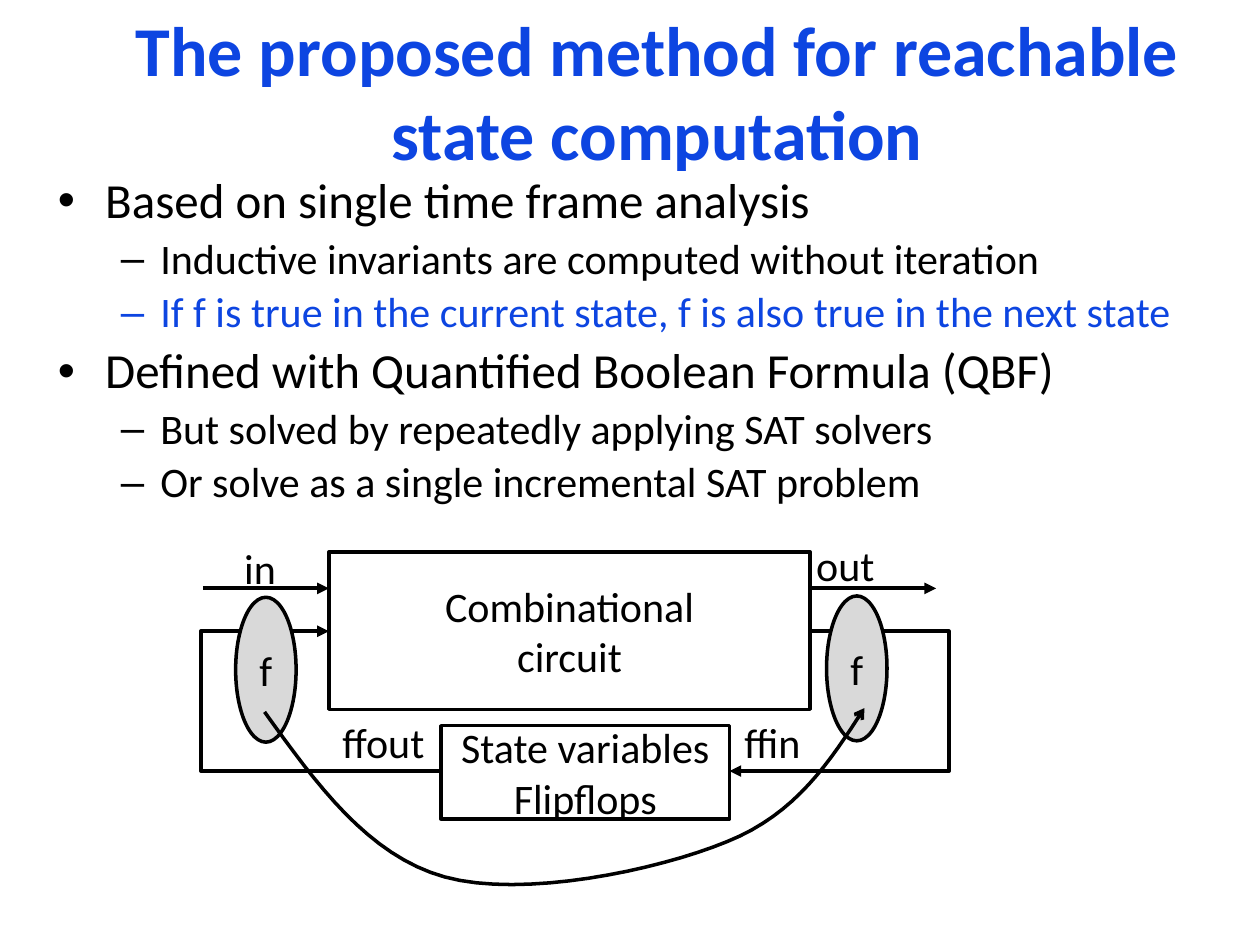
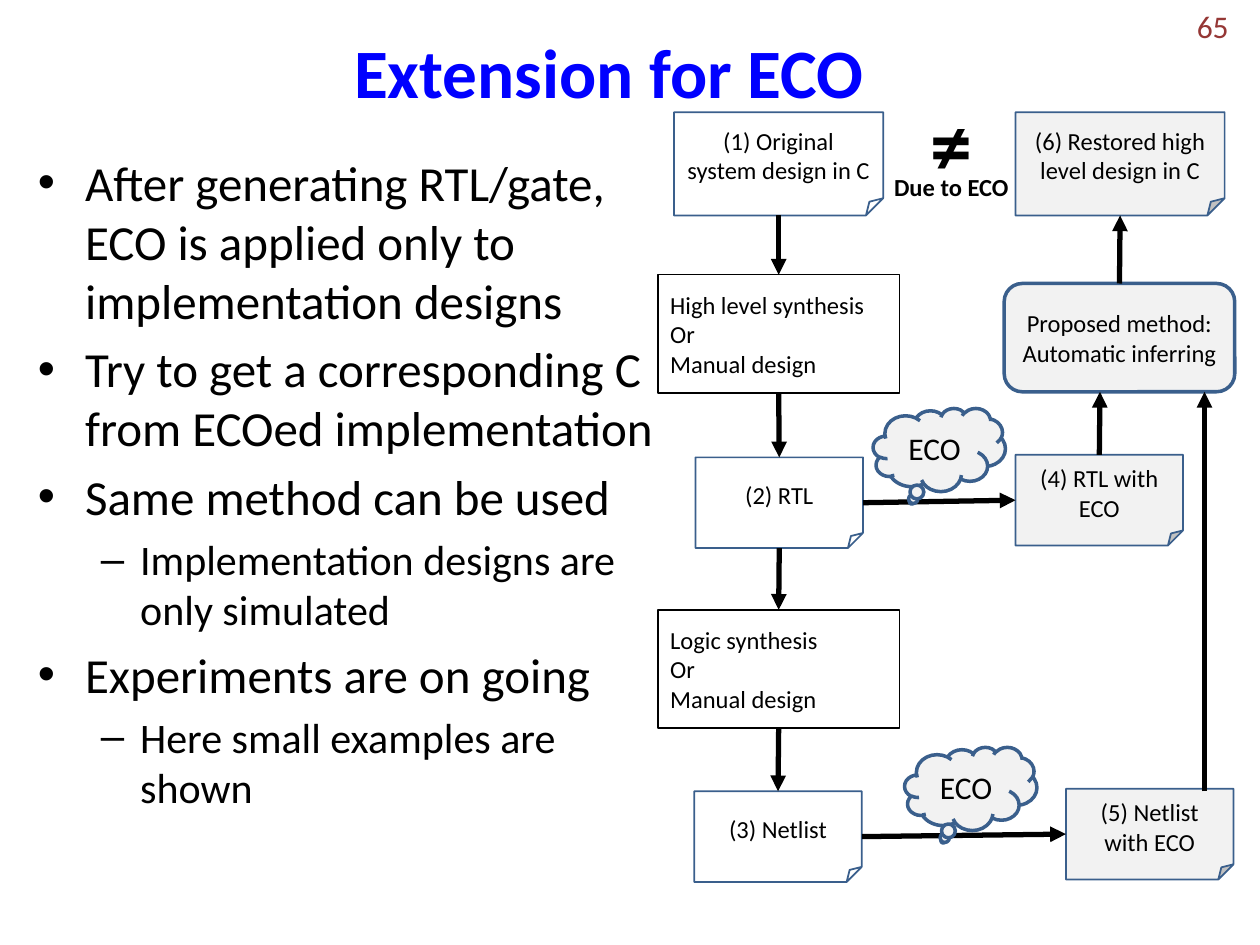
from lxml.etree import SubElement
from pptx import Presentation
from pptx.dml.color import RGBColor
from pptx.enum.shapes import MSO_CONNECTOR, MSO_SHAPE
from pptx.enum.text import MSO_ANCHOR, MSO_AUTO_SIZE, PP_ALIGN
from pptx.oxml.ns import qn
from pptx.util import Inches, Pt

COLORS = {
    "title": "0D45E1",
    "eco_title": "0000FF",
    "ink": "000000",
    "number": "953735",
    "state": "D9D9D9",
    "eco": "F2F2F2",
    "edge": "3A5F8C",
}
TOP, LEFT, BOTTOM, RIGHT = range(4)


def add_box(s, kind, at, text, size, fill=None, edge="ink", width=2,
            align=PP_ALIGN.CENTER, color="ink", bold=False, spacing=None):
    """Add a shape with one paragraph per line, or a text box if kind is None."""
    at = [Inches(v) for v in at]
    if kind is None:
        sp = s.shapes.add_textbox(*at)
        sp.text_frame.word_wrap = False
    else:
        sp = s.shapes.add_shape(kind, *at)
        sp.shadow.inherit = False
        sp.line.color.rgb = RGBColor.from_string(COLORS[edge])
        sp.line.width = Pt(width)
        if fill:
            sp.fill.solid()
            sp.fill.fore_color.rgb = RGBColor.from_string(COLORS[fill])
        else:
            sp.fill.background()
        sp.text_frame.word_wrap = True
        sp.text_frame.vertical_anchor = MSO_ANCHOR.MIDDLE
    tf = sp.text_frame
    tf.text = text
    fmt = {"name": "Calibri", "size": Pt(size), "bold": bold}
    for p in tf.paragraphs:
        p.alignment = align
        p.line_spacing = spacing
        for r in p.runs:
            for key, value in fmt.items():
                setattr(r.font, key, value)
            r.font.color.rgb = RGBColor.from_string(COLORS[color])
    return sp


def finish_line(sp, width, end="tailEnd", head="triangle"):
    """Give a connector or open outline a plain black stroke with an arrowhead."""
    sp.line.color.rgb = RGBColor.from_string(COLORS["ink"])
    sp.line.width = Pt(width)
    sp_pr = sp._element.spPr
    SubElement(sp_pr.find(qn("a:ln")), qn(f"a:{end}"), type=head)
    SubElement(sp_pr, qn("a:effectLst"))


prs = Presentation()
prs.slide_width, prs.slide_height = Inches(10), Inches(7.5)

# Titles and lists: (level, text, colour)
contents = [
    {
        "title": "The proposed method for reachable state computation",
        "title_at": (0.62, 0.08, 9.19, 1.28), "size": 40, "color": "title",
        "body_at": (0.36, 1.35, 9.13, 2.91), "spacing": 0.9,
        "items": [
            (0, "Based on single time frame analysis", "ink"),
            (1, "Inductive invariants are computed without iteration", "ink"),
            (1, "If f is true in the current state, f is also true in the next state", "title"),
            (0, "Defined with Quantified Boolean Formula (QBF)", "ink"),
            (1, "But solved by repeatedly applying SAT solvers", "ink"),
            (1, "Or solve as a single incremental SAT problem", "ink"),
        ],
    },
    {
        "title": "Extension for ECO",
        "title_at": (0.32, 0.19, 9.03, 0.74), "size": 39.6, "color": "eco_title",
        "body_at": (0.2, 1.16, 5.23, 5.84), "spacing": None,
        "items": [
            (0, "After generating RTL/gate, ECO is applied only to implementation designs", "ink"),
            (0, "Try to get a corresponding C from ECOed implementation", "ink"),
            (0, "Same method can be used", "ink"),
            (1, "Implementation designs are only simulated", "ink"),
            (0, "Experiments are on going", "ink"),
            (1, "Here small examples are shown", "ink"),
        ],
    },
]
for content in contents:
    s = prs.slides.add_slide(prs.slide_layouts[1])
    title, body = s.placeholders
    for sp, at in ((title, content["title_at"]), (body, content["body_at"])):
        sp.left, sp.top, sp.width, sp.height = [Inches(v) for v in at]
        sp.text_frame.auto_size = MSO_AUTO_SIZE.NONE
    title.text_frame.text = content["title"]
    body.text_frame.text = "\n".join(text for _, text, _ in content["items"])
    styled = [(title.text_frame.paragraphs[0], content["size"], content["color"], True)]
    for p, (level, _, color) in zip(body.text_frame.paragraphs, content["items"]):
        p.level = level
        p.line_spacing = content["spacing"]
        styled.append((p, 24 if level else 28, color, False))
    body.text_frame.paragraphs[0].space_before = Pt(0)
    for p, size, color, bold in styled:
        fmt = {"name": "Calibri", "size": Pt(size), "bold": bold}
        for key, value in fmt.items():
            setattr(p.runs[0].font, key, value)
        p.runs[0].font.color.rgb = RGBColor.from_string(COLORS[color])

method, eco = prs.slides

# Sequential circuit
add_box(method, MSO_SHAPE.RECTANGLE, (2.61, 4.38, 3.82, 1.25), "Combinational\ncircuit", 24)
add_box(method, MSO_SHAPE.RECTANGLE, (3.5, 5.76, 2.29, 0.74), "State variables\nFlipflops", 24)

# Feedback loops: bend is the share of the width at which the line turns
for start, stop, bend, end in [
    ((6.43, 5.01), (5.79, 6.12), -1.72, "tailEnd"),
    ((2.61, 5.01), (3.5, 6.12), -1.14, "headEnd"),
]:
    loop = method.shapes.add_connector(
        MSO_CONNECTOR.ELBOW, *[Inches(v) for v in start + stop])
    guides = loop._element.spPr.find(qn("a:prstGeom")).get_or_add_avLst()
    SubElement(guides, qn("a:gd"), name="adj1", fmla=f"val {round(bend * 100000)}")
    finish_line(loop, 2.25, end)

for x in (1.61, 6.43):
    signal = method.shapes.add_connector(
        MSO_CONNECTOR.STRAIGHT, Inches(x), Inches(4.67), Inches(x + 1), Inches(4.67))
    finish_line(signal, 2.25)

for x, y, w, text in [
    (1.84, 4.26, 0.46, "in"),
    (6.38, 4.23, 0.67, "out"),
    (5.81, 5.64, 0.66, "ffin"),
    (2.62, 5.64, 0.86, "ffout"),
]:
    add_box(method, None, (x, y, w, 0.5), text, 24, align=PP_ALIGN.LEFT)

for x, y in ((1.87, 4.74), (6.56, 4.73)):
    add_box(method, MSO_SHAPE.OVAL, (x, y, 0.48, 1.15), "f", 24, fill="state")

# Curve from f to f, traced along three cubic Bézier segments
knots = [(2.1, 5.65), (2.51, 6.22), (2.92, 6.79), (3.53, 6.96), (4.15, 7.13),
         (5.21, 6.91), (5.77, 6.68), (6.32, 6.46), (6.59, 6.04), (6.86, 5.62)]
steps = 16
points = []
for i in range(0, len(knots) - 1, 3):
    for t in (n / steps for n in range(1, steps + 1)):
        weights = ((1 - t) ** 3, 3 * t * (1 - t) ** 2, 3 * t ** 2 * (1 - t), t ** 3)
        points.append([Inches(sum(w * k[axis] for w, k in zip(weights, knots[i:i + 4])))
                       for axis in (0, 1)])
builder = method.shapes.build_freeform(Inches(knots[0][0]), Inches(knots[0][1]))
builder.add_line_segments(points, close=False)
curve = builder.convert_to_shape()
curve.fill.background()
finish_line(curve, 2, head="arrow")

# ECO design flow
flow = {}
for name, x, y, w, h, text, fill in [
    ("rtl", 5.52, 3.63, 1.33, 0.72, "(2) RTL", None),
    ("source", 5.35, 0.89, 1.66, 0.82, "(1) Original system design in C", None),
    ("netlist", 5.51, 6.28, 1.33, 0.72, "(3) Netlist", None),
    ("restored", 8.06, 0.89, 1.66, 0.82, "(6) Restored high level design in C", "eco"),
    ("eco_rtl", 8.06, 3.61, 1.33, 0.72, "(4) RTL with ECO", "eco"),
    ("eco_netlist", 8.46, 6.26, 1.33, 0.72, "(5) Netlist with ECO", "eco"),
]:
    flow[name] = add_box(eco, MSO_SHAPE.FOLDED_CORNER, (x, y, w, h), text, 14,
                         fill=fill, edge="edge", width=1)
for name, y, text in (("high_level", 2.18, "High level synthesis"),
                      ("logic", 4.84, "Logic synthesis")):
    flow[name] = add_box(eco, MSO_SHAPE.RECTANGLE, (5.22, y, 1.92, 0.94),
                         f"{text}\nOr\nManual design", 14, width=1, align=PP_ALIGN.LEFT)
flow["inferring"] = add_box(
    eco, MSO_SHAPE.ROUNDED_RECTANGLE, (7.97, 2.25, 1.83, 0.86),
    "Proposed method: Automatic inferring", 14, fill="eco", edge="edge")

for source, side, target, target_side in [
    ("source", BOTTOM, "high_level", TOP),
    ("high_level", BOTTOM, "rtl", TOP),
    ("rtl", BOTTOM, "logic", TOP),
    ("logic", BOTTOM, "netlist", TOP),
    ("netlist", RIGHT, "eco_netlist", LEFT),
    ("rtl", RIGHT, "eco_rtl", LEFT),
    ("inferring", TOP, "restored", BOTTOM),
]:
    arrow = eco.shapes.add_connector(MSO_CONNECTOR.STRAIGHT, 0, 0, 0, 0)
    arrow.begin_connect(flow[source], side)
    arrow.end_connect(flow[target], target_side)
    finish_line(arrow, 3)

for x, y, source in ((8.73, 3.61, "eco_rtl"), (9.56, 6.28, None)):
    arrow = eco.shapes.add_connector(
        MSO_CONNECTOR.STRAIGHT, Inches(x), Inches(y), Inches(x), Inches(3.11))
    if source:
        arrow.begin_connect(flow[source], TOP)
    finish_line(arrow, 3)

for x, y in ((7.18, 5.93), (6.93, 3.24)):
    add_box(eco, MSO_SHAPE.CLOUD_CALLOUT, (x, y, 1.05, 0.66), "ECO", 18,
            fill="eco", edge="edge")

unequal = add_box(eco, None, (6.99, 1.02, 1.12, 0.62), "≠\nDue to ECO", 14,
                  bold=True, spacing=0.5)
unequal.text_frame.paragraphs[0].runs[0].font.size = Pt(48)

number = add_box(eco, None, (7.52, 0.01, 2.33, 0.4), "65", 18,
                 align=PP_ALIGN.RIGHT, color="number")
number.text_frame.word_wrap = True
number.text_frame.vertical_anchor = MSO_ANCHOR.MIDDLE

prs.save("out.pptx")
